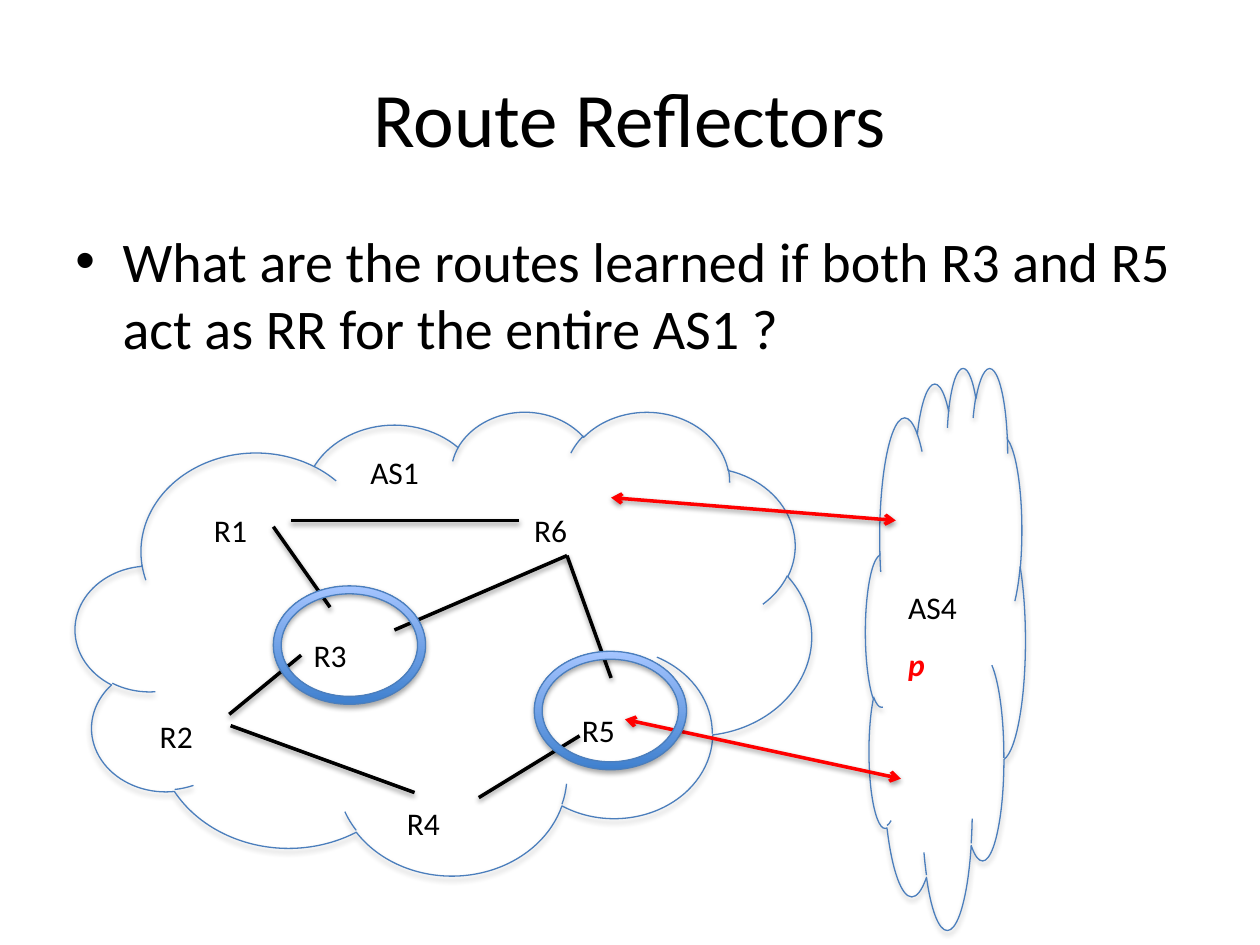
import pptx
import pptx.util
import pptx.dml.color
import pptx.enum.shapes
import pptx.enum.text
import pptx.oxml
import pptx.oxml.ns
from dataclasses import dataclass
from lxml import etree

Pt = pptx.util.Pt
qn = pptx.oxml.ns.qn
rgb = pptx.dml.color.RGBColor.from_string
Shape = pptx.enum.shapes.MSO_SHAPE
Anchor = pptx.enum.text.MSO_ANCHOR


@dataclass(frozen=True)
class Theme:
    font: str = "Calibri"
    ink: str = "000000"
    accent: str = "FF0000"
    outline: str = "4B7EBC"
    ring_bottom: str = "3F80CE"
    ring_top: str = "A4C4FF"
    title_size: float = 44
    body_size: float = 32
    label_size: float = 18
    outline_width: float = 0.75
    link_width: float = 2


def apply(target, values):
    for name, value in values.items():
        setattr(target, name, value)


class SlideBuilder:
    def __init__(self, slide, theme):
        self.slide, self.theme = slide, theme

    def style(self, paragraph, size, color, **extra):
        apply(paragraph.font, {"name": self.theme.font, "size": Pt(size), **extra})
        paragraph.font.color.rgb = rgb(color)

    def shadow(self, item, opacity, distance):
        properties = item._element.spPr
        effects = properties.find(qn("a:effectLst"))
        if effects is None:
            effects = etree.SubElement(properties, qn("a:effectLst"))
        outer = etree.SubElement(
            effects, qn("a:outerShdw"), blurRad=str(Pt(3.1)), dist=str(Pt(distance)),
            dir="5400000", rotWithShape="0")
        color = etree.SubElement(outer, qn("a:srgbClr"), val=self.theme.ink)
        etree.SubElement(color, qn("a:alpha"), val=str(opacity * 1000))

    def title(self, text, left, top, width, height):
        title = self.slide.shapes.title
        apply(title, {"left": Pt(left), "top": Pt(top),
                      "width": Pt(width), "height": Pt(height)})
        title.text_frame.text = text
        title.text_frame.vertical_anchor = Anchor.MIDDLE
        paragraph = title.text_frame.paragraphs[0]
        paragraph.alignment = pptx.enum.text.PP_ALIGN.CENTER
        self.style(paragraph, self.theme.title_size, self.theme.ink)

    def bullet(self, text, left, top, width, height, indent=27):
        frame = self.slide.shapes.add_textbox(*map(Pt, (left, top, width, height))).text_frame
        frame.word_wrap = True
        paragraph = frame.paragraphs[0]
        paragraph.text = text
        properties = paragraph._p.get_or_add_pPr()
        properties.set("marL", str(Pt(indent)))
        properties.set("indent", str(-Pt(indent)))
        etree.SubElement(properties, qn("a:buFont"), typeface="Arial")
        etree.SubElement(properties, qn("a:buChar"), char="•")
        self.style(paragraph, self.theme.body_size, self.theme.ink)

    def label(self, text, left, top, width, color=None, **extra):
        box = self.slide.shapes.add_textbox(*map(Pt, (left, top, width, 28.8)))
        apply(box.text_frame, {"word_wrap": False,
                               "auto_size": pptx.enum.text.MSO_AUTO_SIZE.SHAPE_TO_FIT_TEXT})
        paragraph = box.text_frame.paragraphs[0]
        paragraph.text = text
        self.style(paragraph, self.theme.label_size, color or self.theme.ink, **extra)
        return box

    def outlined(self, kind, left, top, width, height):
        shape = self.slide.shapes.add_shape(kind, *map(Pt, (left, top, width, height)))
        shape.line.color.rgb = rgb(self.theme.outline)
        shape.line.width = Pt(self.theme.outline_width)
        shape.shadow.inherit = False
        self.shadow(shape, 35, 1.8)
        return shape

    def cloud(self, *box):
        self.outlined(Shape.CLOUD, *box).fill.background()

    def ring(self, left, top):
        ring = self.outlined(Shape.DONUT, left, top, 87, 67.7)
        ring.adjustments[0] = 0.067
        ring.fill.gradient()
        ring.fill.gradient_angle = 90
        colors = (self.theme.ring_bottom, self.theme.ring_top)
        for stop, color, position in zip(ring.fill.gradient_stops, colors, (0, 1)):
            stop.color.rgb = rgb(color)
            stop.position = position

    def link(self, x1, y1, x2, y2, color=None, arrows=False):
        link = self.slide.shapes.add_connector(
            pptx.enum.shapes.MSO_CONNECTOR.STRAIGHT, *map(Pt, (x1, y1, x2, y2)))
        link.line.color.rgb = rgb(color or self.theme.ink)
        link.line.width = Pt(self.theme.link_width)
        if arrows:
            for end in ("a:headEnd", "a:tailEnd"):
                etree.SubElement(link.line._get_or_add_ln(), qn(end), type="arrow")
        self.shadow(link, 38, 1.6)
        return link


def main():
    deck = pptx.Presentation()
    apply(deck, {"slide_width": Pt(720), "slide_height": Pt(540)})
    theme = Theme()
    builder = SlideBuilder(deck.slides.add_slide(deck.slide_layouts[5]), theme)

    # Title and question
    builder.title("Route Reflectors", 36, 21.6, 648, 90)
    builder.bullet("What are the routes learned if both R3 and R5 act as RR "
                   "for the entire AS1 ?", 36, 126, 648, 356.4)

    # Autonomous systems
    builder.cloud(43.2, 234.7, 420.5, 265)
    builder.cloud(494.6, 209.5, 91.4, 321.1)
    builder.label("AS1", 204.5, 255.6, 42.5)
    builder.label("AS4", 511.9, 332.6, 42.5)
    builder.label("p", 511.9, 365, 28.1, theme.accent, bold=True, italic=True)

    # Routers
    router_places = {"R1": (115.2, 288.7), "R2": (84.2, 406.1), "R3": (172.1, 360),
                     "R4": (225.4, 455.8), "R5": (325.4, 402.5), "R6": (298.1, 288.7)}
    routers = {name: builder.label(name, *place, 33.8)
               for name, place in router_places.items()}

    # Sessions with AS4
    for session in ((357.1, 411.1, 514.8, 445), (349.2, 284.4, 511.9, 297.4)):
        builder.link(*session, theme.accent, arrows=True)

    # Links inside AS1
    internal_links = (
        (156.2, 301, 188.6, 347),        # R1 - R3
        (166.3, 297.4, 296.6, 297.4),    # R1 - R6
        (131.8, 414.7, 236.9, 452.9),    # R2 - R4
        (225.4, 360, 324, 317.5),        # R3 - R6
        (273.6, 455.8, 331.2, 420.5),    # R4 - R5
        (349.2, 387.4, 324, 317.5),      # R5 - R6
    )
    for ends in internal_links:
        builder.link(*ends)
    r2_r3 = builder.link(131, 408.2, 172.1, 374.4)
    r2_r3.end_connect(routers["R3"], 1)

    # Rings around the route reflectors R3 and R5
    builder.ring(156.2, 334.8)
    builder.ring(305.3, 372.2)

    deck.save("out.pptx")


if __name__ == "__main__":
    main()
